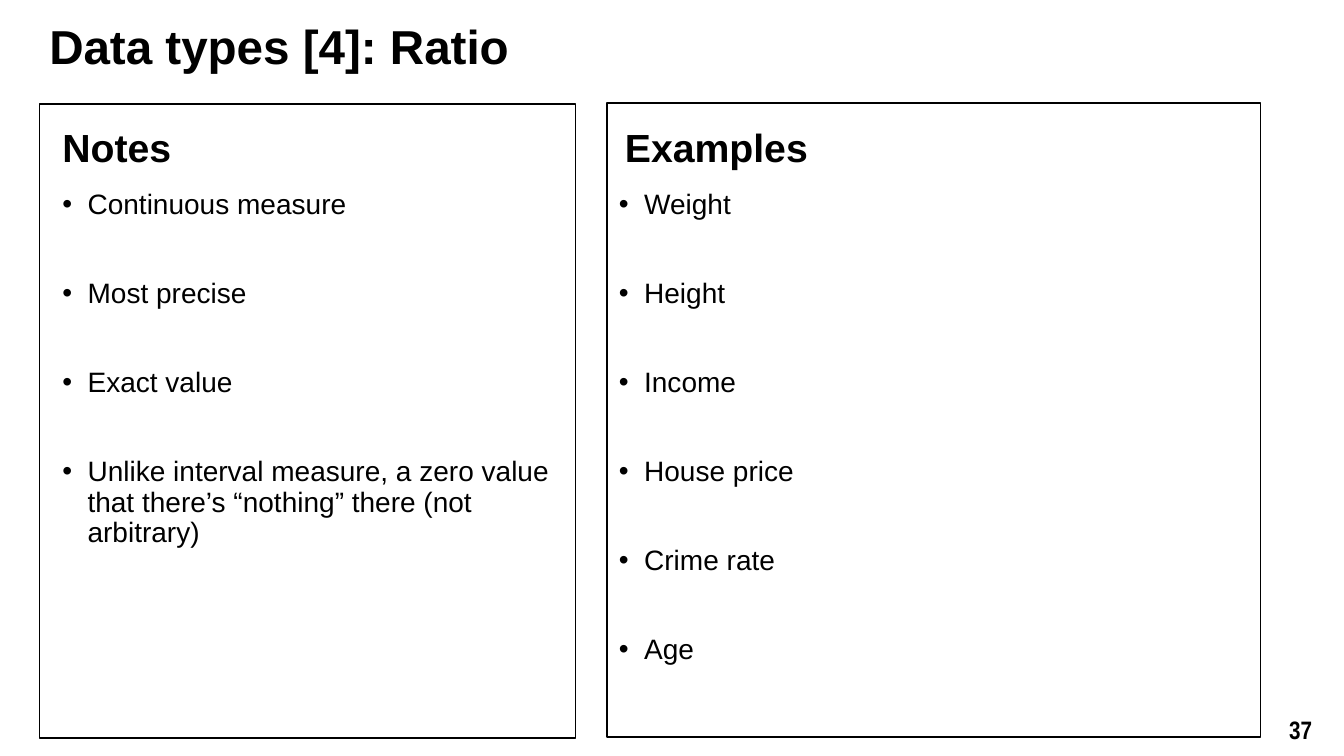
from dataclasses import dataclass

from lxml.etree import SubElement
from pptx import Presentation
from pptx.dml.color import RGBColor
from pptx.enum.shapes import MSO_SHAPE as Shape
from pptx.enum.text import MSO_ANCHOR as Anchor, PP_ALIGN as Align
from pptx.oxml.ns import qn
from pptx.slide import Slide
from pptx.util import Emu, Pt

PX = 9144
INK = "000000"


@dataclass(frozen=True)
class Box:
    left: int
    top: int
    width: int
    height: int

    def place(self) -> tuple[Emu, ...]:
        return tuple(Emu(n * PX) for n in (self.left, self.top, self.width, self.height))


@dataclass(frozen=True)
class Style:
    size: int
    bold: bool = True
    font: str = "Arial"
    align: Align = Align.LEFT
    anchor: Anchor = Anchor.TOP
    line: float = 0.9
    gap: int = 0
    indent: int = 0


@dataclass(frozen=True)
class Panel:
    frame: Box
    head: Box
    body: Box
    title: str
    items: tuple[str, ...]


TITLE = Style(34)
HEAD = Style(28)
LIST = Style(20, bold=False, gap=42, indent=25)
NUMBER = Style(18, font="Arial Narrow", align=Align.CENTER, anchor=Anchor.MIDDLE, line=1.0)

PANELS = (
    Panel(
        Box(39, 103, 532, 629), Box(52, 123, 479, 70), Box(52, 184, 535, 483),
        "Notes",
        (
            "Continuous measure",
            "Most precise",
            "Exact value",
            "Unlike interval measure, a zero value that there’s “nothing” there (not arbitrary)",
        ),
    ),
    Panel(
        Box(602, 102, 648, 629), Box(610, 123, 479, 70), Box(604, 184, 629, 503),
        "Examples",
        ("Weight", "Height", "Income", "House price", "Crime rate", "Age"),
    ),
)


def color(code: str) -> RGBColor:
    return RGBColor.from_string(code)


def add_text(slide: Slide, box: Box, style: Style, *lines: str) -> None:
    frame = slide.shapes.add_textbox(*box.place()).text_frame
    frame.word_wrap = True
    frame.vertical_anchor = style.anchor
    frame.text = "\n".join(lines)
    for order, para in enumerate(frame.paragraphs):
        para.alignment = style.align
        para.line_spacing = style.line
        para.space_before = Pt(style.gap if order else 0)
        if style.indent:
            props = para._p.get_or_add_pPr()
            props.set("marL", str(style.indent * PX))
            props.set("indent", str(-style.indent * PX))
            SubElement(props, qn("a:buFont")).set("typeface", style.font)
            SubElement(props, qn("a:buChar")).set("char", "•")
        for run in para.runs:
            run.font.name = style.font
            run.font.size = Pt(style.size)
            run.font.bold = style.bold
            run.font.color.rgb = color(INK)


def add_frame(slide: Slide, box: Box) -> None:
    rect = slide.shapes.add_shape(Shape.RECTANGLE, *box.place())
    rect.shadow.inherit = False
    rect.fill.background()
    rect.line.color.rgb = color(INK)
    rect.line.width = Pt(1)


def main() -> None:
    deck = Presentation()
    deck.slide_width, deck.slide_height = Emu(1333 * PX), Emu(750 * PX)
    slide = deck.slides.add_slide(deck.slide_layouts[6])
    add_text(slide, Box(39, 18, 1211, 57), TITLE, "Data types [4]: Ratio")
    for panel in PANELS:
        add_text(slide, panel.head, HEAD, panel.title)
        add_text(slide, panel.body, LIST, *panel.items)
        add_frame(slide, panel.frame)
    add_text(slide, Box(1259, 701, 62, 46), NUMBER, "37")
    deck.save("out.pptx")


if __name__ == "__main__":
    main()
